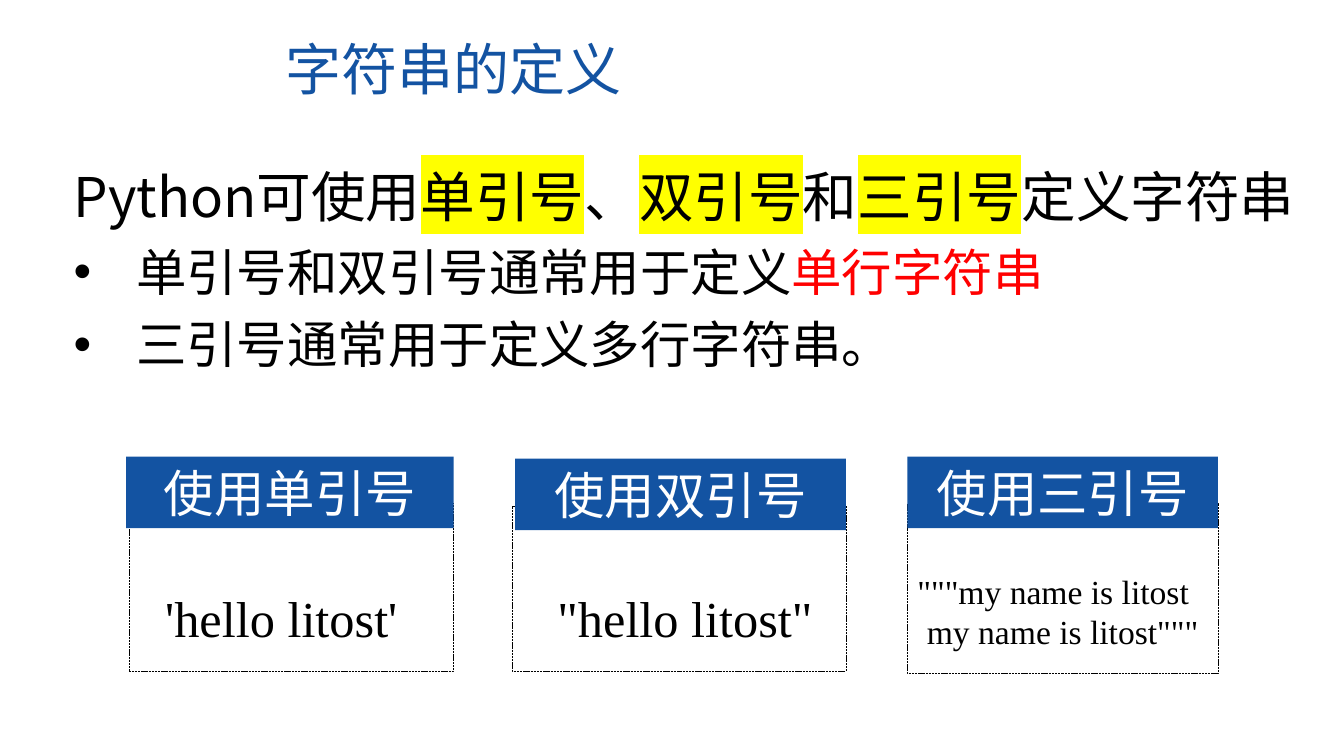
from lxml import etree
from pptx import Presentation
from pptx import util as u
from pptx.dml.color import RGBColor
from pptx.enum import dml, shapes, text
from pptx.oxml.ns import qn

PX = 9144
BLUE, BLACK, WHITE, RED, YELLOW = "1353A2", "000000", "FFFFFF", "FF0000", "FFFF00"
SANS, SERIF = "Noto Sans CJK SC", "Times New Roman"
LEFT, CENTER = text.PP_ALIGN.LEFT, text.PP_ALIGN.CENTER


def px(*lengths):
    """Turn pixel lengths into EMU."""
    return [u.Emu(length * PX) for length in lengths]


def color(target, value):
    """Give a fill a solid colour from a hex string."""
    target.solid()
    target.fore_color.rgb = RGBColor.from_string(value)


def write(para, words, size=36, font=SANS, ink=BLACK, mark=None, align=LEFT):
    """Add a formatted span of text to a paragraph."""
    para.alignment = align
    span = para.add_run()
    span.text = words
    span.font.size = u.Pt(size)
    span.font.bold = False
    span.font.name = font
    color(span.font.fill, ink)
    latin = span.font._element.find(qn("a:latin"))
    if mark:
        highlight = etree.Element(qn("a:highlight"))
        etree.SubElement(highlight, qn("a:srgbClr"), val=mark)
        latin.addprevious(highlight)
    latin.addnext(etree.Element(qn("a:ea"), typeface=font))


def place(shape, box, anchor):
    """Move a text holder to its box and fix its text frame."""
    shape.left, shape.top, shape.width, shape.height = px(*box)
    frame = shape.text_frame
    frame.word_wrap = True
    frame.auto_size = text.MSO_AUTO_SIZE.NONE
    frame.vertical_anchor = anchor
    return frame


def add_rectangle(page, box):
    """Add a plain rectangle without fill, line or shadow."""
    shape = page.shapes.add_shape(shapes.MSO_SHAPE.RECTANGLE, *px(*box))
    shape.shadow.inherit = False
    shape.fill.background()
    shape.line.fill.background()
    return shape


def add_title(page, box):
    """Write the slide title."""
    frame = place(page.shapes.title, box, text.MSO_ANCHOR.MIDDLE)
    write(frame.paragraphs[0], "字符串的定义", size=40, ink=BLUE)


def add_body(page, box):
    """Write the lead sentence and its two bullets."""
    frame = place(page.placeholders[1], box, text.MSO_ANCHOR.TOP)
    lead = [("Python可使用", None), ("单引号", YELLOW), ("、", None), ("双引号", YELLOW),
            ("和", None), ("三引号", YELLOW), ("定义字符串", None)]
    bullets = [[("单引号和双引号通常用于定义", BLACK), ("单行字符串", RED)],
               [("三引号通常用于定义多行字符串。", BLACK)]]
    para = frame.paragraphs[0]
    for words, mark in lead:
        write(para, words, size=39, mark=mark)
    for spans in bullets:
        para = frame.add_paragraph()
        for words, ink in spans:
            write(para, words, ink=ink)
    for index, para in enumerate(frame.paragraphs):
        para.line_spacing = 1.2
        para.space_before = para.space_after = u.Pt(0)
        indent = 62 * PX if index else 0
        layout = para._p.get_or_add_pPr()
        layout.set("marL", str(indent))
        layout.set("indent", str(-indent))
        if index:
            etree.SubElement(layout, qn("a:buFont"), typeface="Arial")
            etree.SubElement(layout, qn("a:buChar"), char="•")
        else:
            etree.SubElement(layout, qn("a:buNone"))


def add_card(page, box, heading, shift, rise, code, code_box, size):
    """Draw a dashed frame with a heading bar and a code sample."""
    left, top, width, height = box
    border = add_rectangle(page, box).line
    color(border.fill, BLACK)
    border.width = u.Pt(0.5)
    border.dash_style = dml.MSO_LINE.SQUARE_DOT

    bar = add_rectangle(page, (left + shift, top - rise, width - shift, 71))
    color(bar.fill, BLUE)
    frame = place(bar, (left + shift, top - rise, width - shift, 71), text.MSO_ANCHOR.MIDDLE)
    write(frame.paragraphs[0], heading, ink=WHITE, align=CENTER)

    dx, dy, code_width, code_height = code_box
    sample_box = (left + dx, top + dy, code_width, code_height)
    sample = page.shapes.add_textbox(*px(*sample_box))
    frame = place(sample, sample_box, text.MSO_ANCHOR.TOP)
    for index, line in enumerate(code):
        para = frame.add_paragraph() if index else frame.paragraphs[0]
        write(para, line, size=size, font=SERIF, align=CENTER if index else LEFT)


def main():
    """Build and save the deck."""
    deck = Presentation()
    deck.slide_width, deck.slide_height = px(1333, 750)
    page = deck.slides.add_slide(deck.slide_layouts[1])
    add_title(page, (273, 29, 588, 77))
    add_body(page, (63, 144, 1247, 234))
    cards = [
        ((128, 499, 322, 167), "使用单引号", -3, 46,
         ["'hello litost'"], (26, 79, 271, 71), 36),
        ((508, 502, 331, 164), "使用双引号", 3, 47,
         ['"hello litost"'], (35, 76, 318, 71), 36),
        ((900, 499, 308, 169), "使用三引号", 0, 46,
         ['"""my name is litost', 'my name is litost"""'], (0, 62, 308, 91), 24),
    ]
    for card in cards:
        add_card(page, *card)
    deck.save("out.pptx")


if __name__ == "__main__":
    main()
